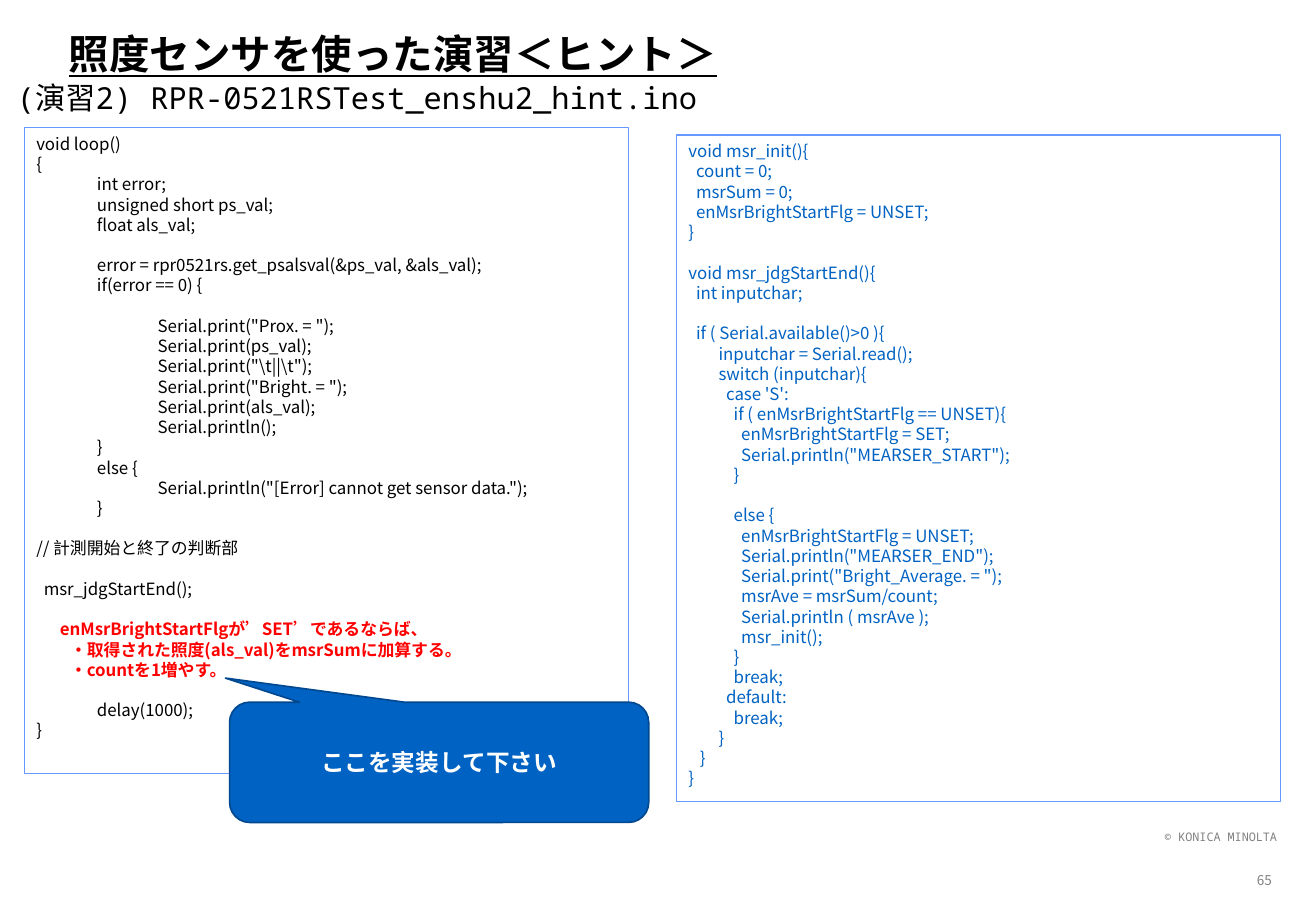
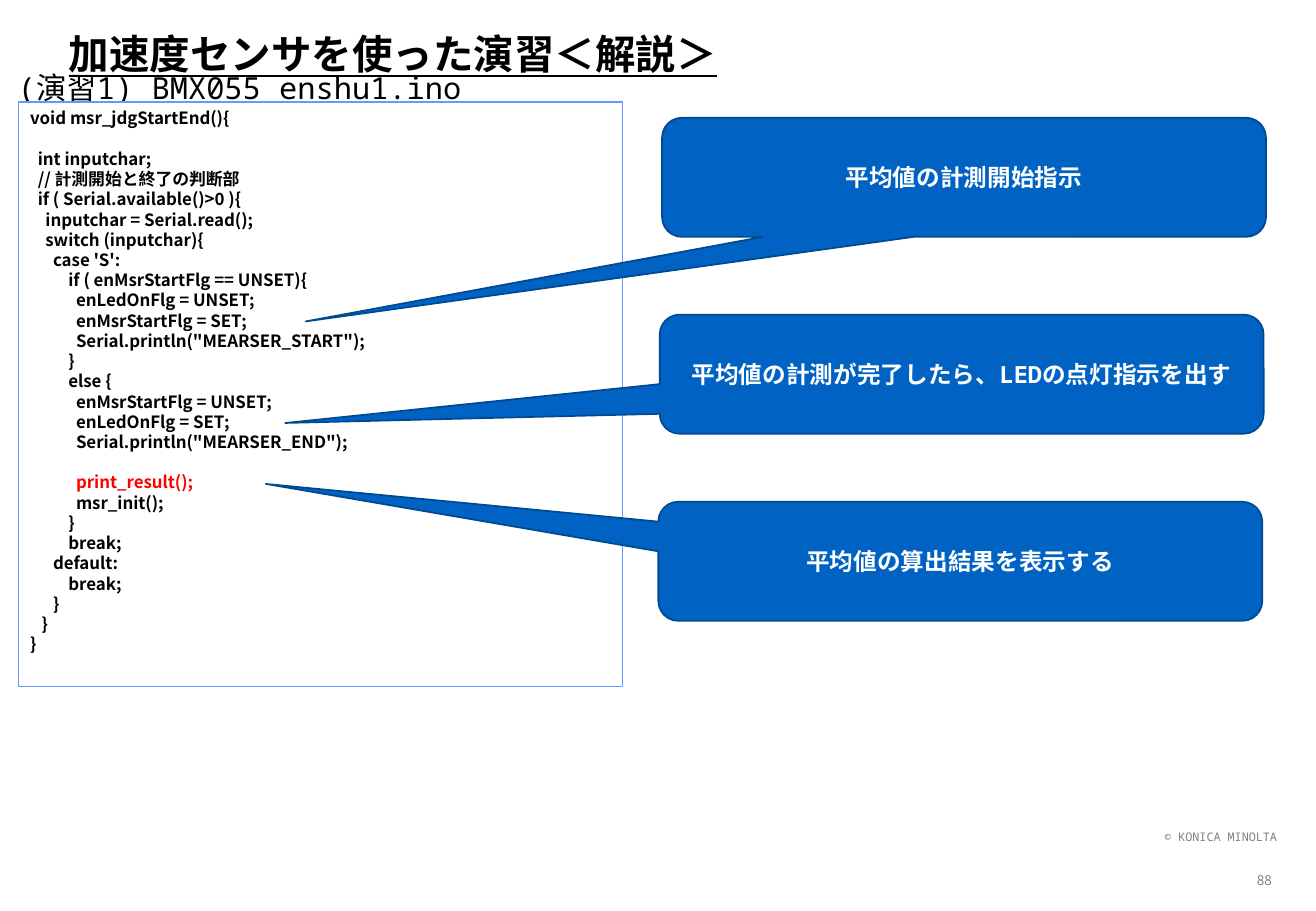
from lxml.etree import SubElement
from pptx import Presentation
from pptx.dml.color import RGBColor
from pptx.enum.shapes import MSO_SHAPE as SHAPE
from pptx.enum.text import MSO_ANCHOR as ANCHOR, PP_ALIGN as ALIGN
from pptx.oxml.ns import qn
from pptx.util import Pt

COLORS = {"black": "000000", "white": "FFFFFF", "gray": "808080", "blue": "0062C2",
          "navy": "004990", "frame": "6699FF", "red": "FF0000"}
SANS, MONO = "Noto Sans CJK JP", "Noto Sans Mono"
TITLE = {"size": 24, "font": MONO, "color": "black", "bold": True, "underline": True}
SUBTITLE = {"size": 18, "font": MONO, "color": "black"}
CALLOUT = {"size": 14, "font": MONO, "color": "white", "bold": True}
COPYRIGHT = {"size": 7, "font": MONO, "color": "gray"}
PAGE = {"size": 8, "font": SANS, "color": "gray"}
CODE = {"size": 10, "font": SANS, "color": "black"}
HIGHLIGHT = {"color": "red", "bold": True}

CODE_LINE = 12
TAB = 36
PANEL_WIDTH = 358

# Highlighted lines and their left indents
HIGHLIGHTS = {
    "enMsrBrightStartFlgが’SET’であるならば、": 14,
    "・取得された照度(als_val)をmsrSumに加算する。": 20,
    "・countを1増やす。": 20,
    "print_result();": 0,
}

LOOP_CODE = r"""void loop()
{
    int error;
    unsigned short ps_val;
    float als_val;

    error = rpr0521rs.get_psalsval(&ps_val, &als_val);
    if(error == 0) {

        Serial.print("Prox. = ");
        Serial.print(ps_val);
        Serial.print("\t||\t");
        Serial.print("Bright. = ");
        Serial.print(als_val);
        Serial.println();
    }
    else {
        Serial.println("[Error] cannot get sensor data.");
    }

// 計測開始と終了の判断部

  msr_jdgStartEnd();

enMsrBrightStartFlgが’SET’であるならば、
・取得された照度(als_val)をmsrSumに加算する。
・countを1増やす。

    delay(1000);
}""".replace(" " * 4, "\t")

BRIGHTNESS_CODE = """void msr_init(){
  count = 0;
  msrSum = 0;
  enMsrBrightStartFlg = UNSET;
}

void msr_jdgStartEnd(){
  int inputchar;

  if ( Serial.available()>0 ){
        inputchar = Serial.read();
        switch (inputchar){
          case 'S':
            if ( enMsrBrightStartFlg == UNSET){
              enMsrBrightStartFlg = SET;
              Serial.println("MEARSER_START");
            }

            else {
              enMsrBrightStartFlg = UNSET;
              Serial.println("MEARSER_END");
              Serial.print("Bright_Average. = ");
              msrAve = msrSum/count;
              Serial.println ( msrAve );
              msr_init();
            }
            break;
          default:
            break;
        }
   }
}"""

ACCELERATION_CODE = """void msr_jdgStartEnd(){

  int inputchar;
  // 計測開始と終了の判断部
  if ( Serial.available()>0 ){
    inputchar = Serial.read();
    switch (inputchar){
      case 'S':
          if ( enMsrStartFlg == UNSET){
            enLedOnFlg = UNSET;
            enMsrStartFlg = SET;
            Serial.println("MEARSER_START");
          }
          else {
            enMsrStartFlg = UNSET;
            enLedOnFlg = SET;
            Serial.println("MEARSER_END");

            print_result();
            msr_init();
          }
          break;
      default:
          break;
      }
   }
}"""

# Panels: code, (left, top, height), style changes
# Callouts: text, (left, top, width, height), pointer tip
SLIDES = [
    {"title": "照度センサを使った演習＜ヒント＞",
     "subtitle": "(演習2) RPR-0521RSTest_enshu2_hint.ino",
     "subtitle_at": (2.9, 43.2), "page": "65",
     "panels": [(LOOP_CODE, (14.4, 75.6, 383), {}),
                (BRIGHTNESS_CODE, (401, 80, 395.3), {"color": "blue"})],
     "callouts": [("ここを実装して下さい", (136.1, 416.2, 248.4, 71.3), (-0.51, -0.7))]},
    {"title": "加速度センサを使った演習＜解説＞",
     "subtitle": "(演習1) BMX055_enshu1.ino",
     "subtitle_at": (3.6, 37.4), "page": "88",
     "panels": [(ACCELERATION_CODE, (10.8, 60.5, 346.3), {"bold": True})],
     "callouts": [
         ("平均値の計測開始指示", (392.4, 69.8, PANEL_WIDTH, 70.6), (-1.09, 1.21)),
         ("平均値の計測が完了したら、LEDの点灯指示を出す",
          (391, 186.5, PANEL_WIDTH, 70.6), (-1.12, 0.41)),
         ("平均値の算出結果を表示する", (390.2, 297.4, PANEL_WIDTH, 70.6), (-1.15, -0.65))]},
]


def rgb(name):
    return RGBColor.from_string(COLORS[name])


def add_run(paragraph, text, style):
    run = paragraph.add_run()
    run.text = text
    font = run.font
    font.name, font.size = style["font"], Pt(style["size"])
    font.color.rgb = rgb(style["color"])
    for key in ("bold", "underline"):
        setattr(font, key, style.get(key, False))
    SubElement(font._element, qn("a:ea"), typeface=SANS)


def add_label(slide, text, box, style, align=ALIGN.LEFT, anchor=ANCHOR.TOP):
    frame = slide.shapes.add_textbox(*map(Pt, box)).text_frame
    frame.word_wrap, frame.vertical_anchor = True, anchor
    paragraph = frame.paragraphs[0]
    paragraph.alignment = align
    add_run(paragraph, text, style)
    return paragraph


def add_box(slide, kind, box, fill, line, width):
    shape = slide.shapes.add_shape(kind, *map(Pt, box))
    shape.shadow.inherit = False
    shape.fill.solid()
    shape.fill.fore_color.rgb = rgb(fill)
    shape.line.color.rgb = rgb(line)
    shape.line.width = Pt(width)
    shape.text_frame.word_wrap = True
    return shape


def add_panel(slide, code, position, changes):
    """Frame a listing; an empty code line becomes space before the next one."""
    left, top, height = position
    frame = add_box(slide, SHAPE.RECTANGLE, (left, top, PANEL_WIDTH, height),
                    "white", "frame", 0.75).text_frame
    frame.vertical_anchor = ANCHOR.TOP
    paragraph, gap = frame.paragraphs[0], 0
    for number, line in enumerate(code.split("\n")):
        if not line:
            gap += CODE_LINE
            continue
        if number:
            paragraph = frame.add_paragraph()
        style = CODE | changes
        indent = 0
        if line.strip() in HIGHLIGHTS:
            style |= HIGHLIGHT
            indent = HIGHLIGHTS[line.strip()]
        props = paragraph._p.get_or_add_pPr()
        props.set("marL", str(Pt(indent)))
        if "\t" in line:
            stops = SubElement(props, qn("a:tabLst"))
            for level in (1, 2):
                SubElement(stops, qn("a:tab"), pos=str(Pt(TAB * level)), algn="l")
        paragraph.alignment = ALIGN.LEFT
        paragraph.line_spacing = Pt(CODE_LINE)
        paragraph.space_before = Pt(gap)
        add_run(paragraph, line, style)
        gap = 0


def add_callout(slide, text, box, tip):
    callout = add_box(slide, SHAPE.ROUNDED_RECTANGULAR_CALLOUT, box, "blue", "navy", 1)
    for index, value in enumerate(tip):
        callout.adjustments[index] = value
    callout.text_frame.vertical_anchor = ANCHOR.MIDDLE
    paragraph = callout.text_frame.paragraphs[0]
    paragraph.alignment = ALIGN.CENTER
    add_run(paragraph, text, CALLOUT)


def build_slide(deck, content):
    slide = deck.slides.add_slide(deck.slide_layouts[6])
    add_label(slide, "© KONICA MINOLTA", (620, 488.2, 144, 15.8), COPYRIGHT, ALIGN.RIGHT)
    add_label(slide, content["page"], (735, 509.8, 28.8, 23.8), PAGE,
              ALIGN.CENTER, ANCHOR.MIDDLE)
    title = add_label(slide, content["title"], (33.8, 15.1, 580.3, 36.7), TITLE,
                      anchor=ANCHOR.MIDDLE)
    title.line_spacing = 0.9
    add_label(slide, content["subtitle"], (*content["subtitle_at"], 750, 32), SUBTITLE)
    for panel in content["panels"]:
        add_panel(slide, *panel)
    for callout in content["callouts"]:
        add_callout(slide, *callout)


def main():
    deck = Presentation()
    deck.slide_width, deck.slide_height = Pt(780), Pt(540)
    for content in SLIDES:
        build_slide(deck, content)
    deck.save("out.pptx")


if __name__ == "__main__":
    main()
